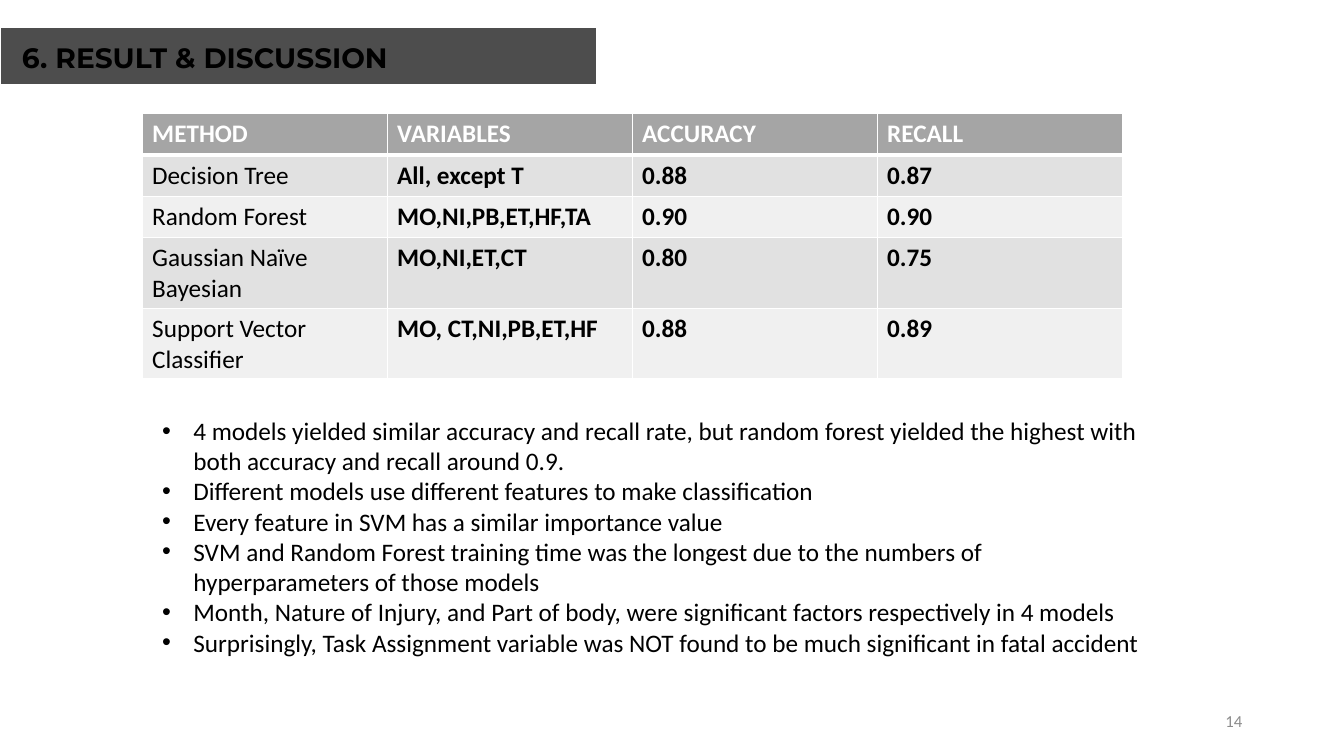
from lxml import etree
from pptx import Presentation
from pptx import util as u
from pptx.dml.color import RGBColor
from pptx.enum import shapes, text
from pptx.oxml.ns import qn

TITLE = "6. RESULT & DISCUSSION"
PAGE = "14"
ROWS = [
    ("METHOD", "VARIABLES", "ACCURACY", "RECALL"),
    ("Decision Tree", "All, except T", "0.88", "0.87"),
    ("Random Forest", "MO,NI,PB,ET,HF,TA", "0.90", "0.90"),
    ("Gaussian Naïve Bayesian", "MO,NI,ET,CT", "0.80", "0.75"),
    ("Support Vector Classifier", "MO, CT,NI,PB,ET,HF", "0.88", "0.89"),
]
FINDINGS = [
    "4 models yielded similar accuracy and recall rate, but random forest yielded "
    "the highest with both accuracy and recall around 0.9.",
    "Different models use different features to make classification",
    "Every feature in SVM has a similar importance value",
    "SVM and Random Forest training time was the longest due to the numbers of "
    "hyperparameters of those models",
    "Month, Nature of Injury, and Part of body, were significant factors "
    "respectively in 4 models",
    "Surprisingly, Task Assignment variable was NOT found to be much significant "
    "in fatal accident",
]
COLORS = {
    "white": "FFFFFF", "black": "000000", "page": "8C8C8C", "bar": "4D4D4D",
    "header": "A5A5A5", "odd": "E1E1E1", "even": "F0F0F0",
}
PX_PER_INCH = 100
ROW_H, COL_W, INDENT = 41, 243, 31


def px(n):
    return u.Emu(n * 914400 // PX_PER_INCH)


def color(name):
    return RGBColor.from_string(COLORS[name])


def add_run(p, words, size, tint, bold=False, font="Calibri"):
    r = p.add_run()
    r.text = words
    r.font.size, r.font.bold, r.font.name = u.Pt(size), bold, font
    r.font.color.rgb = color(tint)


def add_text(s, x, y, w, h):
    tf = s.shapes.add_textbox(px(x), px(y), px(w), px(h)).text_frame
    tf.word_wrap = True
    return tf


def add_bullet(p):
    pPr = p._p.get_or_add_pPr()
    pPr.set("marL", str(px(INDENT)))
    pPr.set("indent", str(-px(INDENT)))
    etree.SubElement(pPr, qn("a:buFont")).set("typeface", "Arial")
    etree.SubElement(pPr, qn("a:buChar")).set("char", "•")


def set_borders(cell, widths):
    tcPr = cell._tc.get_or_add_tcPr()
    for i, (side, width) in enumerate(widths.items()):
        ln = etree.Element(qn("a:ln" + side), w=str(u.Pt(width)))
        fill = etree.SubElement(ln, qn("a:solidFill"))
        etree.SubElement(fill, qn("a:srgbClr")).set("val", COLORS["white"])
        tcPr.insert(i, ln)


def add_results(s):
    n_rows, n_cols = len(ROWS), len(ROWS[0])
    table = s.shapes.add_table(n_rows, n_cols, px(141), px(113),
                               px(COL_W * n_cols), px(ROW_H * n_rows)).table
    for col in table.columns:
        col.width = px(COL_W)
    for i, row in enumerate(ROWS):
        table.rows[i].height = px(ROW_H)
        band = "header" if i == 0 else "odd" if i % 2 else "even"
        for j, words in enumerate(row):
            cell = table.cell(i, j)
            cell.fill.solid()
            cell.fill.fore_color.rgb = color(band)
            set_borders(cell, {"L": 1, "R": 1, "T": 3 if i == 1 else 1,
                               "B": 3 if i == 0 else 1})
            add_run(cell.text_frame.paragraphs[0], words, 18,
                    "black" if i else "white", bold=i == 0 or j > 0)


def main():
    prs = Presentation()
    prs.slide_width, prs.slide_height = px(1333), px(750)
    s = prs.slides.add_slide(prs.slide_layouts[6])

    tf = add_text(s, 942, 695, 300, 40)
    tf.vertical_anchor = text.MSO_ANCHOR.MIDDLE
    tf.paragraphs[0].alignment = text.PP_ALIGN.RIGHT
    add_run(tf.paragraphs[0], PAGE, 12, "page")

    add_results(s)

    tf = add_text(s, 151, 407, 997, 313)
    for i, words in enumerate(FINDINGS):
        p = tf.add_paragraph() if i else tf.paragraphs[0]
        add_bullet(p)
        add_run(p, words, 18, "black")

    bar = s.shapes.add_shape(shapes.MSO_SHAPE.RECTANGLE, px(0), px(27), px(592), px(57))
    bar.shadow.inherit = False
    bar.fill.solid()
    bar.fill.fore_color.rgb = color("bar")
    bar.line.color.rgb = color("white")
    bar.line.width = u.Pt(1)

    tf = add_text(s, 12, 35, 467, 44)
    add_run(tf.paragraphs[0], TITLE, 20, "black", bold=True, font="Montserrat")

    prs.save("out.pptx")


if __name__ == "__main__":
    main()
